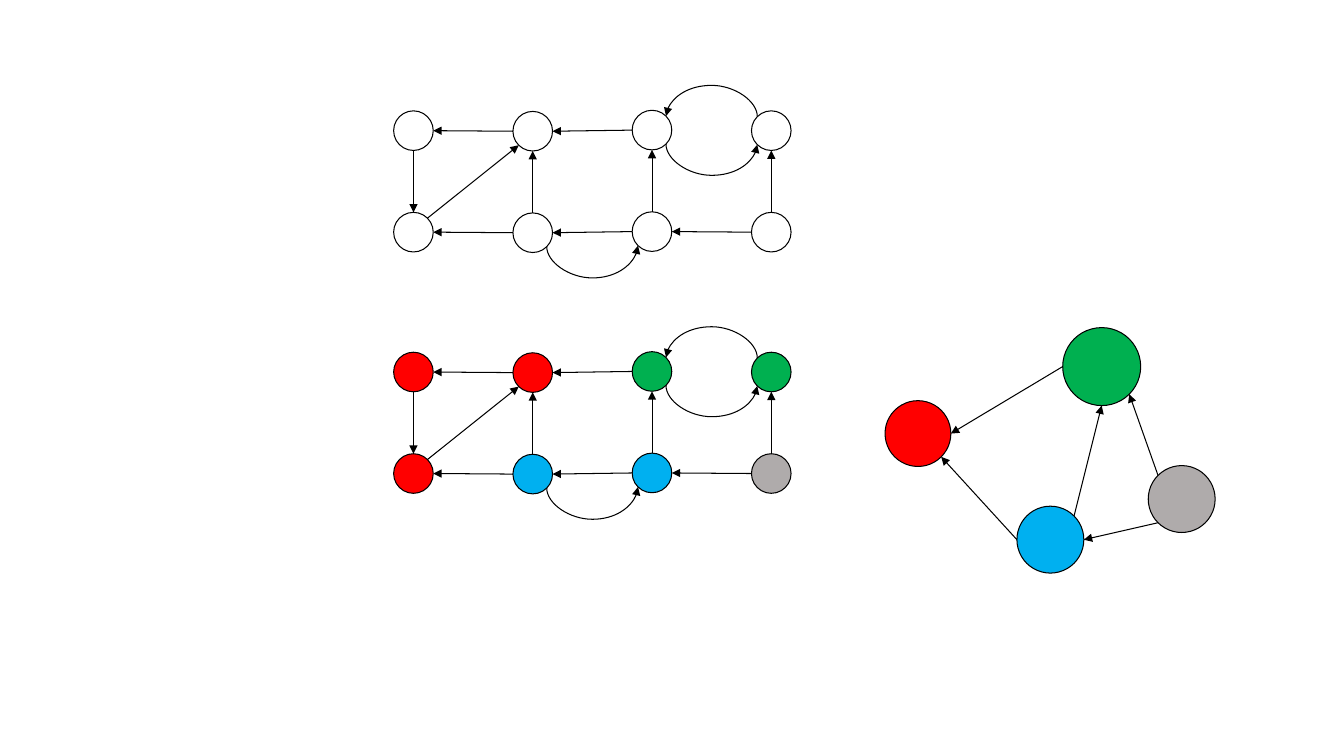
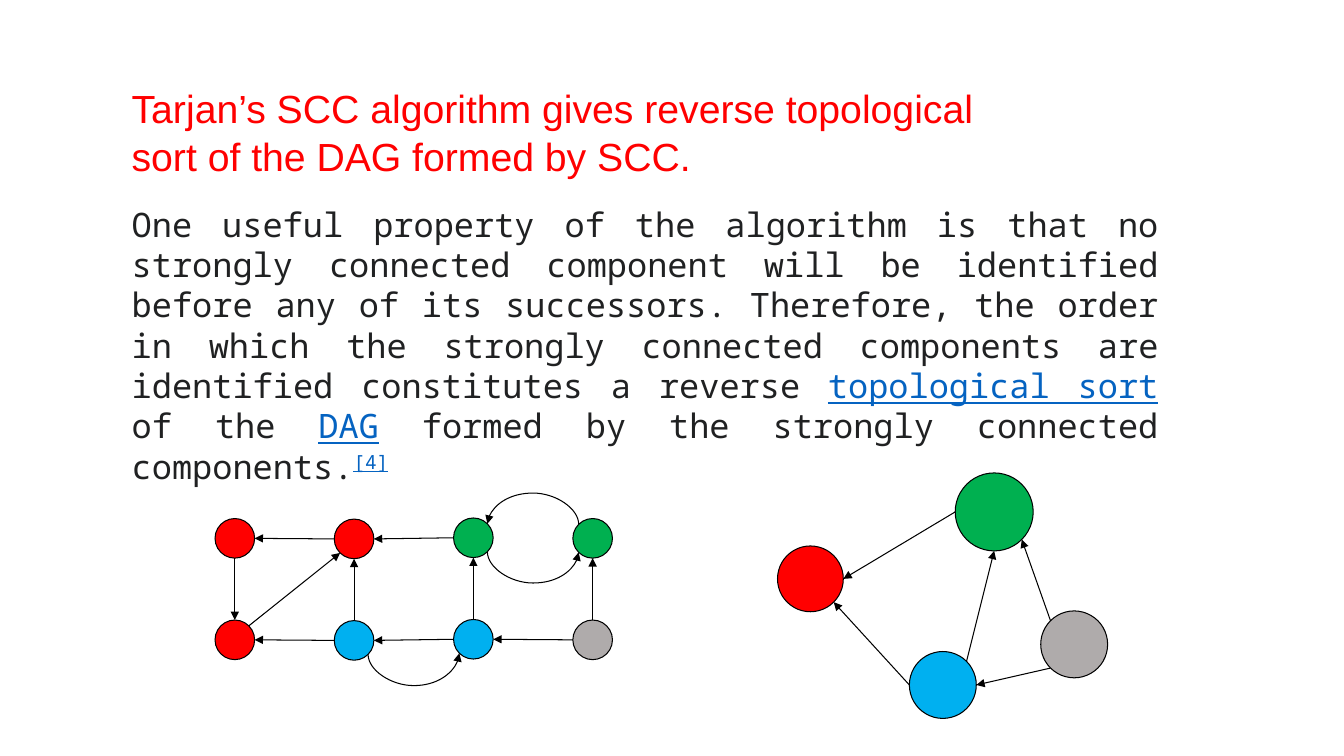
from math import cos, pi, sin

from lxml.etree import SubElement
from pptx import Presentation
from pptx.dml.color import RGBColor
from pptx.enum.shapes import MSO_CONNECTOR, MSO_SHAPE
from pptx.enum.text import PP_ALIGN
from pptx.oxml.ns import qn
from pptx.util import Pt


class Theme:
    black = RGBColor(0x00, 0x00, 0x00)
    white = RGBColor(0xFF, 0xFF, 0xFF)
    red = RGBColor(0xFF, 0x00, 0x00)
    green = RGBColor(0x00, 0xB0, 0x50)
    blue = RGBColor(0x00, 0xB0, 0xF0)
    gray = RGBColor(0xAF, 0xAB, 0xAB)
    body = RGBColor(0x20, 0x21, 0x22)
    link = RGBColor(0x05, 0x63, 0xC1)
    heading_font, heading_size = "Arial", 28
    body_font, body_size = "Noto Sans Mono", 24
    line_width = 0.75


# Connection sites of an ellipse, counter-clockwise from the top
TOP, TOP_LEFT, LEFT, BOTTOM_LEFT, BOTTOM, BOTTOM_RIGHT, RIGHT, TOP_RIGHT = range(8)

NODE_SIZE = 28.3
COLUMN_PITCH, ROW_PITCH = 85.2, 72.5
COLUMN_LIFT = (0, -0.4, 0.4, 0)  # arcs need a small rise between their ends
ARC_BULGE = 22.5

# Column and row of a node, with the site used on it
GRAPH_EDGES = [
    *[((column, row), LEFT, (column - 1, row), RIGHT)
      for row in (0, 1) for column in (1, 2, 3) if (column, row) != (3, 0)],
    *[((column, 1), TOP, (column, 0), BOTTOM) for column in (1, 2, 3)],
    ((0, 0), BOTTOM, (0, 1), TOP),
    ((0, 1), TOP_RIGHT, (1, 0), BOTTOM_LEFT),
]
GRAPH_ARCS = [
    ((3, 0), TOP_LEFT, (2, 0), TOP_RIGHT),
    ((2, 0), BOTTOM_RIGHT, (3, 0), BOTTOM_LEFT),
    ((1, 1), BOTTOM_RIGHT, (2, 1), BOTTOM_LEFT),
]
UNCOLOURED = [[Theme.white] * 4] * 2
BY_COMPONENT = [
    [Theme.red, Theme.red, Theme.green, Theme.green],
    [Theme.red, Theme.blue, Theme.blue, Theme.gray],
]

# Left, top and diameter of each component
COMPONENTS = {
    Theme.red: (0, 52.2, 47),
    Theme.blue: (94.2, 127.6, 47.8),
    Theme.green: (126.9, 0, 55.7),
    Theme.gray: (188, 98.6, 47.8),
}
COMPONENT_EDGES = [
    (Theme.green, LEFT, Theme.red, RIGHT),
    (Theme.gray, TOP_LEFT, Theme.green, BOTTOM_RIGHT),
    (Theme.gray, BOTTOM_LEFT, Theme.blue, RIGHT),
    (Theme.blue, LEFT, Theme.red, BOTTOM_RIGHT),
    (Theme.blue, TOP_RIGHT, Theme.green, BOTTOM),
]


def site_position(node, site):
    radius = node.width / 2
    angle = pi / 2 + site * pi / 4
    return (round(node.left + radius + radius * cos(angle)),
            round(node.top + radius - radius * sin(angle)))


class Deck:
    def __init__(self, theme):
        self.theme = theme
        self.presentation = Presentation()
        self.presentation.slide_width = Pt(960)
        self.presentation.slide_height = Pt(540)
        self.slide = None

    def new_slide(self):
        self.slide = self.presentation.slides.add_slide(self.presentation.slide_layouts[6])

    def text(self, left, top, width, height, font, size, runs, align=PP_ALIGN.LEFT):
        """Runs are (text, colour, superscript); link-coloured runs are underlined."""
        box = self.slide.shapes.add_textbox(Pt(left), Pt(top), Pt(width), Pt(height))
        box.text_frame.word_wrap = True
        paragraph = box.text_frame.paragraphs[0]
        paragraph.alignment = align
        paragraph.font.name = font
        paragraph.font.size = Pt(size)
        for words, colour, superscript in runs:
            run = paragraph.add_run()
            run.text = words
            run.font.color.rgb = colour
            if colour == self.theme.link:
                run.font.underline = True
            if superscript:
                run._r.get_or_add_rPr().set("baseline", "30000")

    def node(self, group, left, top, size, colour):
        shape = group.shapes.add_shape(MSO_SHAPE.OVAL, Pt(left), Pt(top), Pt(size), Pt(size))
        shape.shadow.inherit = False
        shape.fill.solid()
        shape.fill.fore_color.rgb = colour
        self.outline(shape)
        return shape

    def outline(self, shape):
        shape.line.color.rgb = self.theme.black
        shape.line.width = Pt(self.theme.line_width)

    def finish_arrow(self, connector, start, start_site, end, end_site):
        """Style the connector and glue it to its two nodes."""
        self.outline(connector)
        properties = connector._element.spPr
        SubElement(properties.find(qn("a:ln")), qn("a:tailEnd"), type="triangle")
        SubElement(properties, qn("a:effectLst"))
        links = connector._element.find(".//" + qn("p:cNvCxnSpPr"))
        for tag, node, site in (("a:stCxn", start, start_site), ("a:endCxn", end, end_site)):
            SubElement(links, qn(tag), id=str(node.shape_id), idx=str(site))

    def arrow(self, group, start, start_site, end, end_site):
        connector = group.shapes.add_connector(
            MSO_CONNECTOR.STRAIGHT,
            *site_position(start, start_site), *site_position(end, end_site))
        self.finish_arrow(connector, start, start_site, end, end_site)

    def arc(self, group, start, start_site, end, end_site):
        """Curved arrow, a quarter turn round: upwards if leftward, else downwards."""
        x1, y1 = site_position(start, start_site)
        x2, y2 = site_position(end, end_site)
        rise, span = abs(y2 - y1), abs(x2 - x1)
        left, top = (x1 + x2 - rise) // 2, (y1 + y2 - span) // 2
        connector = group.shapes.add_connector(
            MSO_CONNECTOR.CURVE, left, top, left + rise, top + span)
        leftward, falls = x2 < x1, y2 > y1
        bulge = Pt(ARC_BULGE) if leftward else -Pt(ARC_BULGE)
        adjustment = bulge / (y1 - y2)
        positive = adjustment > 0
        properties = connector._element.spPr
        transform = properties.find(qn("a:xfrm"))
        transform.set("rot", str((270 if positive else 90) * 60000))
        transform.set("flipH", str(int(falls == positive)))
        transform.set("flipV", str(int(leftward == positive)))
        SubElement(properties.find(".//" + qn("a:avLst")), qn("a:gd"),
                   name="adj1", fmla=f"val {round(adjustment * 100000)}")
        self.finish_arrow(connector, start, start_site, end, end_site)

    def graph(self, left, top, colours):
        group = self.slide.shapes.add_group_shape()
        nodes = {
            (column, row): self.node(
                group, left + column * COLUMN_PITCH,
                top + row * ROW_PITCH - COLUMN_LIFT[column], NODE_SIZE, colour)
            for row, row_colours in enumerate(colours)
            for column, colour in enumerate(row_colours)
        }
        self.connect(group, nodes, GRAPH_EDGES, self.arrow)
        self.connect(group, nodes, GRAPH_ARCS, self.arc)

    def component_graph(self, left, top):
        group = self.slide.shapes.add_group_shape()
        nodes = {colour: self.node(group, left + x, top + y, size, colour)
                 for colour, (x, y, size) in COMPONENTS.items()}
        self.connect(group, nodes, COMPONENT_EDGES, self.arrow)

    def connect(self, group, nodes, edges, draw):
        for start, start_site, end, end_site in edges:
            draw(group, nodes[start], start_site, nodes[end], end_site)


def main():
    theme = Theme()
    deck = Deck(theme)

    deck.new_slide()
    deck.graph(281.2, 79.2, UNCOLOURED)
    deck.graph(281.2, 251.6, BY_COMPONENT)
    deck.component_graph(632.2, 234)

    deck.new_slide()
    deck.text(87, 142, 747.4, 211, theme.body_font, theme.body_size, [
        ("One useful property of the algorithm is that no strongly connected component "
         "will be identified before any of its successors. Therefore, the order in which "
         "the strongly connected components are identified constitutes a reverse ",
         theme.body, False),
        ("topological sort", theme.link, False),
        (" of the ", theme.body, False),
        ("DAG", theme.link, False),
        (" formed by the strongly connected components.", theme.body, False),
        ("[4]", theme.link, True),
    ], PP_ALIGN.JUSTIFY)
    deck.text(87, 57, 621.4, 75, theme.heading_font, theme.heading_size, [
        ("Tarjan’s SCC algorithm gives reverse topological sort of the DAG formed by SCC.",
         theme.red, False),
    ])
    deck.graph(153.6, 370.4, BY_COMPONENT)
    deck.component_graph(555.4, 337.8)

    deck.presentation.save("out.pptx")


if __name__ == "__main__":
    main()
